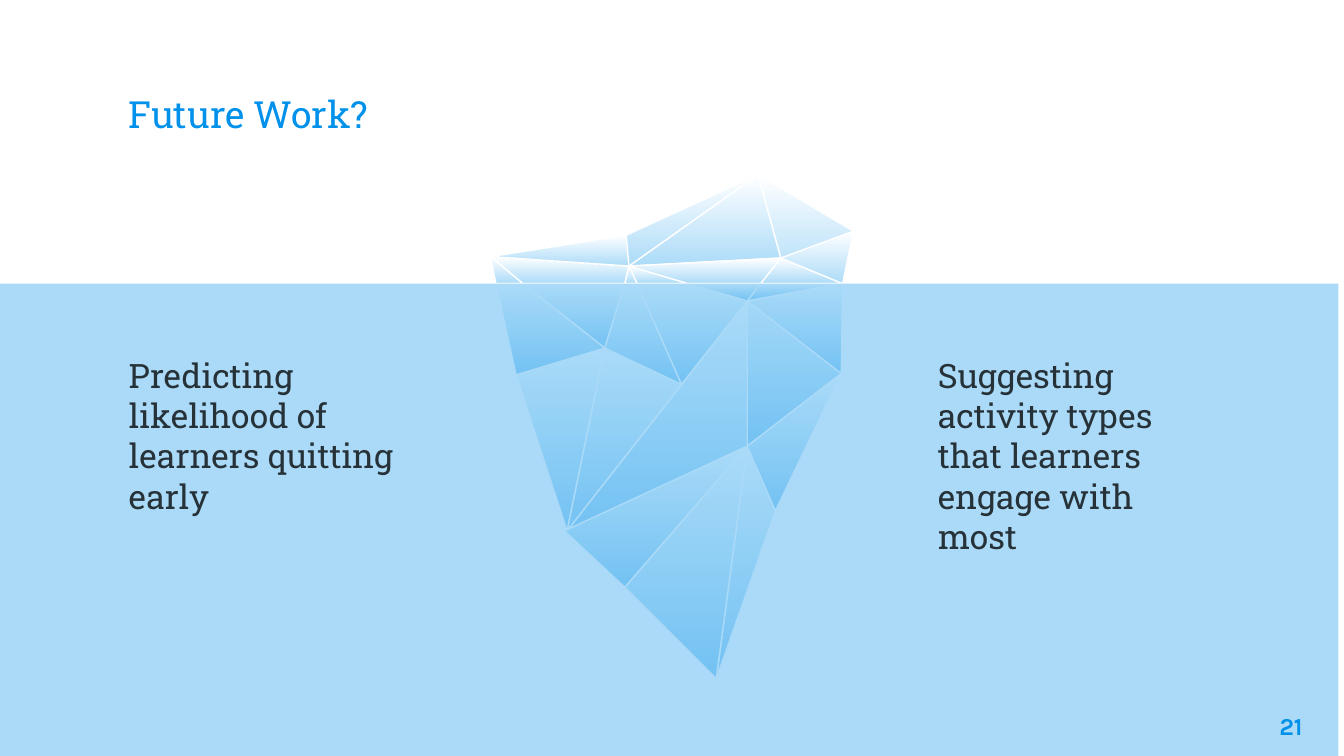
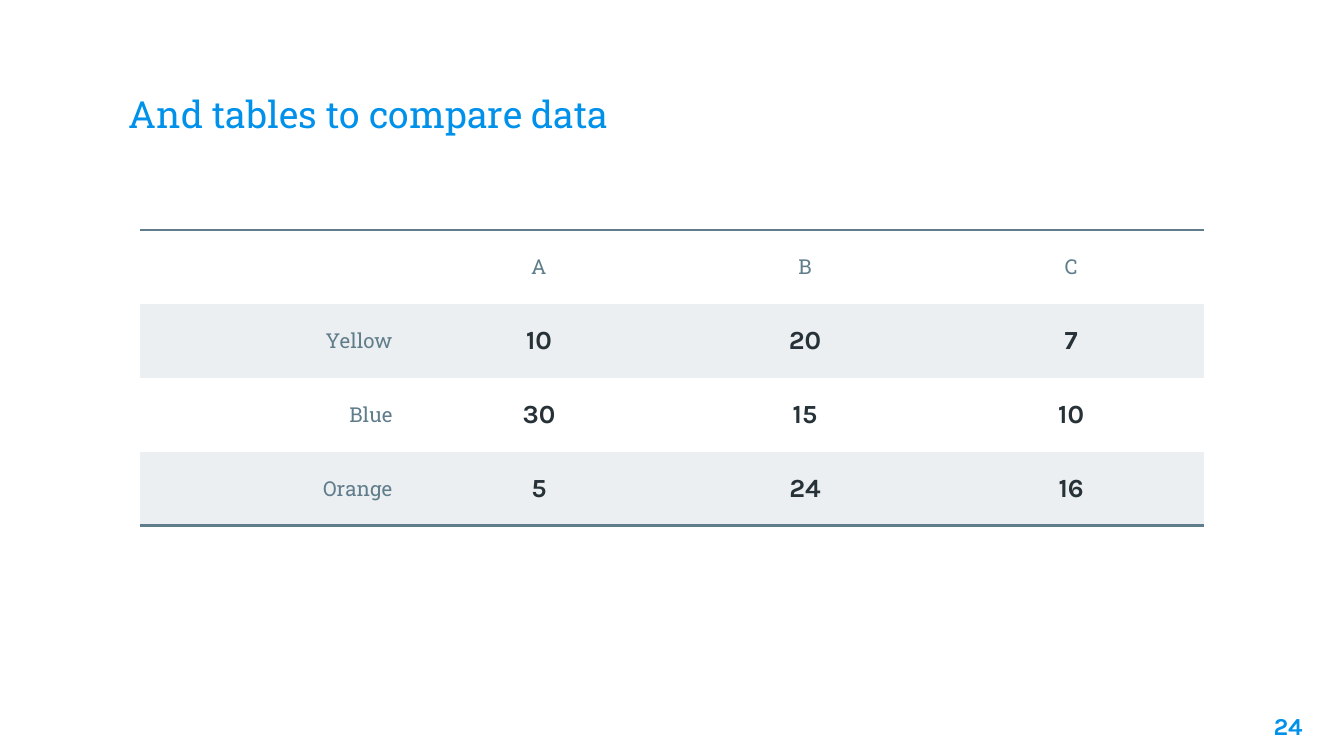
from dataclasses import dataclass

from lxml import etree
from pptx import Presentation
from pptx.dml.color import RGBColor
from pptx.enum.shapes import MSO_SHAPE as SHAPE
from pptx.enum.text import MSO_ANCHOR as ANCHOR, PP_ALIGN as ALIGN
from pptx.oxml.ns import qn
from pptx.util import Inches, Pt

COLORS = {
    "blue": "0091EA",
    "ice": "ACDBF8",
    "white": "FFFFFF",
    "dark": "263238",
    "slate": "607D8B",
    "stripe": "ECEFF1",
}
SLAB, KARLA = "Roboto Slab", "Karla"
NO_STYLE_NO_GRID = "{2D5ABB26-0587-4C30-8999-92F81FD0307C}"


@dataclass(frozen=True)
class Style:
    font: str
    size: int
    color: str
    bold: bool = False
    align: ALIGN = ALIGN.LEFT


@dataclass(frozen=True)
class Box:
    x: float
    y: float
    w: float
    h: float
    style: Style
    pad_y: float = 0.1
    anchor: ANCHOR = ANCHOR.TOP


# Shared text boxes
TITLE = Box(0.86, 0.34, 8.28, 0.77, Style(SLAB, 20, "blue"), anchor=ANCHOR.BOTTOM)
NUMBER = Box(9.19, 5.19, 0.6, 0.43, Style(KARLA, 13, "blue", True, ALIGN.RIGHT))

# Future work columns
BODY = Style(SLAB, 18, "dark")
IDEAS = [
    (0.86, "Predicting likelihood of learners quitting early"),
    (6.88, "Suggesting activity types that learners engage with most"),
]

# Iceberg: named corners, and facets from back to front
WATERLINE = 2.11
CORNERS = {
    # above water
    "a": (3.65, 1.91), "b": (4.66, 1.75), "c": (4.68, 1.98),
    "d": (5.64, 1.3), "e": (5.81, 1.92), "f": (6.35, 1.72),
    # on the waterline
    "g": (3.69, WATERLINE), "h": (3.89, WATERLINE), "i": (4.65, WATERLINE),
    "j": (4.74, WATERLINE), "k": (5.12, WATERLINE), "l": (5.66, WATERLINE),
    "m": (6.27, WATERLINE),
    # below water
    "n": (4.5, 2.59), "o": (5.56, 2.24), "p": (5.07, 2.86),
    "q": (3.84, 2.79), "r": (6.26, 2.78), "s": (5.56, 3.32),
    "t": (4.22, 3.95), "u": (4.65, 4.37), "v": (5.77, 3.8),
    "w": (5.33, 5.05), "x": (4.2, 3.95),
}
FACETS = (
    "mah dce dfme ahg ciha dcab eml jck ahg bca fem jci mrso ntq "
    "inh svw mol pjko pnt ots hnqg mor npji xsu uws rvs celk olk"
).split()

# Comparison table
ROWS = [
    ("", "A", "B", "C"),
    ("Yellow", "10", "20", "7"),
    ("Blue", "30", "15", "10"),
    ("Orange", "5", "24", "16"),
]
HEADER = Style(SLAB, 11, "slate", align=ALIGN.CENTER)
LABEL = Style(SLAB, 11, "slate", align=ALIGN.RIGHT)
VALUE = Style(KARLA, 14, "dark", True, ALIGN.CENTER)
COL_W, ROW_H = 1.98, 0.55


def rgb(name: str) -> RGBColor:
    return RGBColor.from_string(COLORS[name])


def write(tf, text: str, style: Style) -> None:
    p = tf.paragraphs[0]
    p.text = text
    p.alignment = style.align
    p.font.name = style.font
    p.font.size = Pt(style.size)
    p.font.bold = style.bold
    p.font.color.rgb = rgb(style.color)


def add_text(slide, box: Box, text: str) -> None:
    sp = slide.shapes.add_textbox(
        Inches(box.x), Inches(box.y), Inches(box.w), Inches(box.h))
    tf = sp.text_frame
    tf.word_wrap = True
    tf.vertical_anchor = box.anchor
    tf.margin_left = tf.margin_right = Inches(0.1)
    tf.margin_top = tf.margin_bottom = Inches(box.pad_y)
    write(tf, text, box.style)


def add_slide(prs):
    slide = prs.slides.add_slide(prs.slide_layouts[6])
    slide.background.fill.solid()
    slide.background.fill.fore_color.rgb = rgb("white")
    return slide


def add_iceberg(slide) -> None:
    group = slide.shapes.add_group_shape()
    for facet in FACETS:
        start, *rest = [(Inches(x), Inches(y))
                        for x, y in (CORNERS[c] for c in facet)]
        builder = group.shapes.build_freeform(*start)
        builder.add_line_segments(rest, close=True)
        sp = builder.convert_to_shape()
        sp.shadow.inherit = False
        sp.fill.gradient()
        sp.fill.gradient_angle = 270
        for stop, color in zip(sp.fill.gradient_stops, ("white", "ice")):
            stop.color.rgb = rgb(color)
        sp.line.color.rgb = rgb("white")
        sp.line.width = Pt(0.75)


def add_sea(slide) -> None:
    sp = slide.shapes.add_shape(
        SHAPE.RECTANGLE, Inches(-0.04), Inches(WATERLINE), Inches(10), Inches(3.52))
    sp.shadow.inherit = False
    sp.fill.solid()
    sp.fill.fore_color.rgb = rgb("blue")
    sp.line.fill.background()
    color = sp.fill._xPr.find(f".//{qn('a:srgbClr')}")
    etree.SubElement(color, qn("a:alpha"), val="33000")


def add_border(cell, side: str) -> None:
    ln = etree.Element(qn(f"a:{side}"), w=str(Pt(1.5)))
    fill = etree.SubElement(ln, qn("a:solidFill"))
    etree.SubElement(fill, qn("a:srgbClr"), val=COLORS["slate"])
    cell._tc.get_or_add_tcPr().insert(0, ln)


def add_comparison(slide) -> None:
    n_rows, n_cols = len(ROWS), len(ROWS[0])
    frame = slide.shapes.add_table(
        n_rows, n_cols, Inches(1.04), Inches(1.71),
        Inches(COL_W * n_cols), Inches(ROW_H * n_rows))
    table = frame.table
    table.first_row = table.horz_banding = False
    table._tbl.tblPr.find(qn("a:tableStyleId")).text = NO_STYLE_NO_GRID
    for col in table.columns:
        col.width = Inches(COL_W)
    for i, texts in enumerate(ROWS):
        table.rows[i].height = Inches(ROW_H)
        for j, text in enumerate(texts):
            cell = table.cell(i, j)
            cell.vertical_anchor = ANCHOR.MIDDLE
            cell.margin_left = cell.margin_right = Inches(0.1)
            cell.margin_top = cell.margin_bottom = Inches(0.07)
            style = HEADER if i == 0 else LABEL if j == 0 else VALUE
            write(cell.text_frame, text, style)
            if i % 2:
                cell.fill.solid()
                cell.fill.fore_color.rgb = rgb("stripe")
            else:
                cell.fill.background()
            if i == 0:
                add_border(cell, "lnT")
            elif i == n_rows - 1:
                add_border(cell, "lnB")


def main() -> None:
    # Widescreen, 16:9
    prs = Presentation()
    prs.slide_width = Inches(10)
    prs.slide_height = Inches(10 * 9 / 16)

    # Future work
    slide = add_slide(prs)
    add_iceberg(slide)
    add_text(slide, TITLE, "Future Work?")
    add_sea(slide)
    for x, idea in IDEAS:
        add_text(slide, Box(x, 2.59, 2.3, 2.65, BODY, pad_y=0.05), idea)
    add_text(slide, NUMBER, "21")

    # Table
    slide = add_slide(prs)
    add_text(slide, TITLE, "And tables to compare data")
    add_comparison(slide)
    add_text(slide, NUMBER, "24")

    prs.save("out.pptx")


if __name__ == "__main__":
    main()
